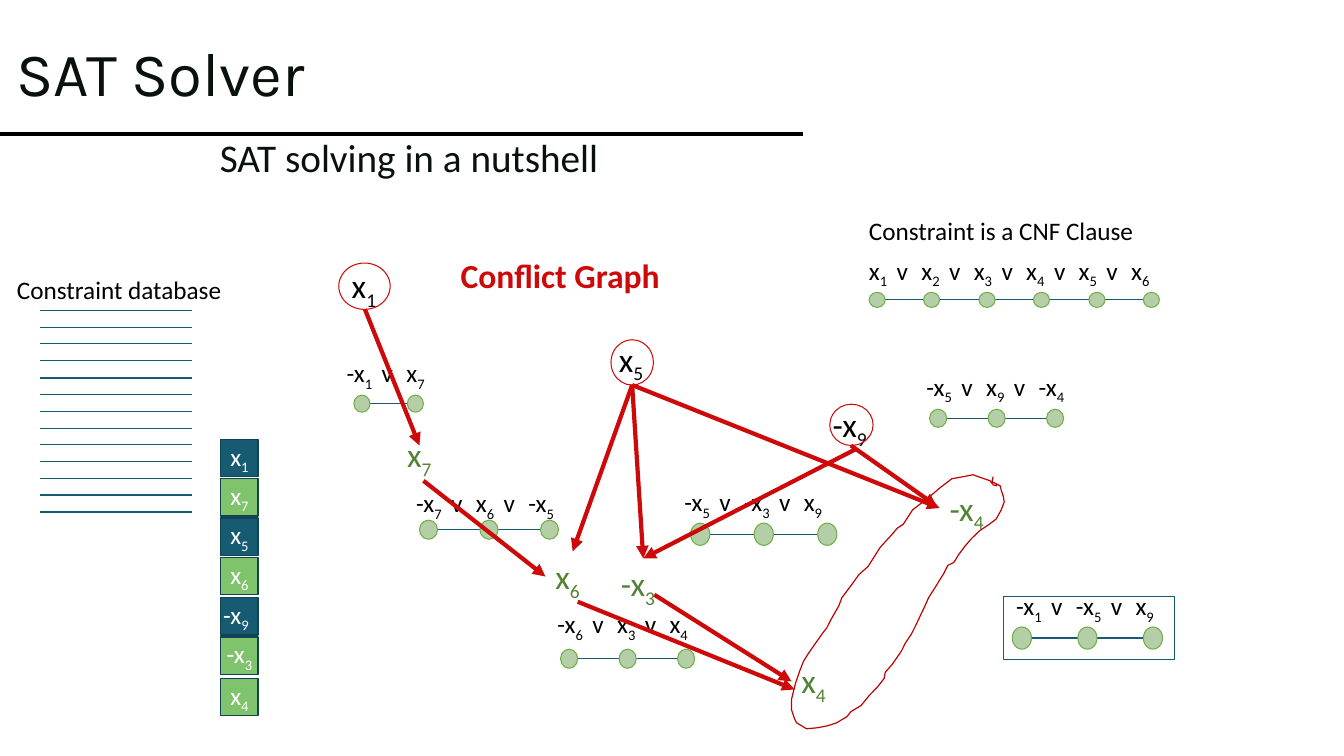
from lxml.etree import SubElement
from pptx import Presentation
from pptx.dml.color import RGBColor
from pptx.enum.shapes import MSO_CONNECTOR, MSO_SHAPE
from pptx.enum.text import MSO_ANCHOR, MSO_AUTO_SIZE, PP_ALIGN
from pptx.oxml.ns import qn
from pptx.util import Pt

PX = 9144  # 100 px to the inch
TEAL, RED, GREEN, BLACK, INK = "175B73", "CD0909", "548235", "000000", "08110B"
color = RGBColor.from_string


def add_line(shapes, start, end, line_color, width, arrow=False):
    ends = [value * PX for value in (*start, *end)]
    connector = shapes.add_connector(MSO_CONNECTOR.STRAIGHT, *ends)
    connector.line.color.rgb = color(line_color)
    connector.line.width = Pt(width)
    properties = connector._element.spPr
    if arrow:
        SubElement(properties.find(qn("a:ln")), qn("a:tailEnd"), type="triangle")
    SubElement(properties, qn("a:effectLst"))


def write_terms(shape, terms, size, text_color):
    """Write terms joined by v, with a final digit as subscript."""
    frame = shape.text_frame
    frame.word_wrap = False
    frame.auto_size = MSO_AUTO_SIZE.SHAPE_TO_FIT_TEXT
    paragraph = frame.paragraphs[0]
    for index, term in enumerate(terms):
        if index:
            separator = paragraph.add_run()
            separator.text = " v "
            separator._r.get_or_add_rPr().set("spc", "270")
        name = term.rstrip("0123456789")
        paragraph.add_run().text = name
        if name != term:
            subscript = paragraph.add_run()
            subscript.text = term[len(name):]
            subscript._r.get_or_add_rPr().set("baseline", "-25000")
    paragraph.font.name = "Calibri"
    paragraph.font.size = Pt(size)
    paragraph.font.color.rgb = color(text_color)
    return paragraph


presentation = Presentation()
presentation.slide_width = 1333 * PX
presentation.slide_height = 750 * PX
slide = presentation.slides.add_slide(presentation.slide_layouts[1])
shapes = slide.shapes

# Title and subtitle
add_line(shapes, (0, 133), (796, 133), BLACK, 2.25)
title, body = slide.placeholders
for placeholder, box, text, font_name, size, anchor in (
    (title, (6, 3, 751, 145), "SAT Solver", "Karla", 44, MSO_ANCHOR.MIDDLE),
    (body, (183, 133, 900, 83), "SAT solving in a nutshell", "Calibri", 28, MSO_ANCHOR.TOP),
):
    placeholder.left, placeholder.top, placeholder.width, placeholder.height = [v * PX for v in box]
    frame = placeholder.text_frame
    frame.text = text
    frame.auto_size = MSO_AUTO_SIZE.NONE
    frame.vertical_anchor = anchor
    paragraph = frame.paragraphs[0]
    paragraph.alignment = PP_ALIGN.LEFT
    paragraph.line_spacing = 0.9
    paragraph.space_before = Pt(0)
    if placeholder is body:
        properties = paragraph._p.get_or_add_pPr()
        properties.set("marL", str(25 * PX))
        properties.set("indent", str(-25 * PX))
        SubElement(SubElement(properties, qn("a:buClr")), qn("a:srgbClr"), val="FFFFFF")
        SubElement(properties, qn("a:buSzPct"), val="25000")
        SubElement(properties, qn("a:buChar"), char="•")
    paragraph.font.name = font_name
    paragraph.font.size = Pt(size)
    paragraph.font.color.rgb = color(INK)

# Constraint database lines
database = shapes.add_group_shape().shapes
for row in range(13):
    y = 308 + round(row * 50 / 3)
    add_line(database, (40, y), (190, y), TEAL, 0.85)

# Captions and graph nodes
for box, text, size, text_color in (
    ((7, 267, 225, 40), "Constraint database", 18, BLACK),
    ((852, 209, 285, 40), "Constraint is a CNF Clause", 18, BLACK),
    ((447, 248, 220, 50), "Conflict Graph", 24, RED),
    ((339, 258, 54, 50), "x1", 24, BLACK),
    ((816, 396, 64, 50), "-x9", 24, BLACK),
    ((394, 426, 54, 50), "x7", 24, GREEN),
    ((604, 331, 54, 50), "x5", 24, BLACK),
    ((785, 650, 54, 50), "x4", 24, GREEN),
    ((541, 547, 54, 50), "x6", 24, GREEN),
    ((606, 554, 64, 50), "-x3", 24, GREEN),
    ((932, 479, 64, 50), "-x4", 24, GREEN),
):
    label = shapes.add_textbox(*[v * PX for v in box])
    paragraph = write_terms(label, [text], size, text_color)
    paragraph.font.bold = text_color == RED

# Clauses: text box, first dot, left of the last dot, terms
for box, (left, top, width, height), last, clause in (
    ((852, 248, 307, 42), (862, 290, 16, 15), 1134, "x1 x2 x3 x4 x5 x6"),
    ((334, 350, 118, 40), (351, 392, 16, 17), 404, "-x1 x7"),
    ((403, 479, 163, 40), (416, 516, 18, 19), 536, "-x7 x6 -x5"),
    ((669, 478, 183, 42), (685, 519, 19, 22), 811, "-x5 -x3 x9"),
    ((543, 599, 155, 40), (556, 644, 17, 19), 672, "-x6 x3 x4"),
    ((909, 363, 185, 48), (922, 406, 17, 18), 1038, "-x5 x9 -x4"),
    ((998, 581, 171, 40), (1004, 622, 19, 22), 1134, "-x1 -x5 x9"),
):
    terms = clause.split()
    group = shapes.add_group_shape().shapes
    middle = top + height // 2
    add_line(group, (left, middle), (last + width, middle), TEAL, 0.85)
    for index in range(len(terms)):
        x = left + round(index * (last - left) / (len(terms) - 1))
        dot = group.add_shape(MSO_SHAPE.OVAL, x * PX, top * PX, width * PX, height * PX)
        dot.shadow.inherit = False
        dot.fill.solid()
        dot.fill.fore_color.rgb = color("B4CFA8")
        dot.line.color.rgb = color("70AD47")
        dot.line.width = Pt(0.75)
    write_terms(group.add_textbox(*[v * PX for v in box]), terms, 18, BLACK)

# Decision rings and the frame of the learned clause
for kind, box, line_color in (
    (MSO_SHAPE.OVAL, (336, 261, 51, 46), RED),
    (MSO_SHAPE.OVAL, (606, 337, 42, 45), RED),
    (MSO_SHAPE.OVAL, (823, 401, 43, 41), RED),
    (MSO_SHAPE.RECTANGLE, (995, 592, 170, 62), TEAL),
):
    outline = shapes.add_shape(kind, *[v * PX for v in box])
    outline.shadow.inherit = False
    outline.fill.background()
    outline.line.color.rgb = color(line_color)
    outline.line.width = Pt(0.75)

# Hand-drawn loop around the conflict
loop_points = (
    (989, 482), (985, 481), (982, 477), (965, 471), (955, 473), (944, 475), (931, 485),
    (923, 492), (905, 506), (896, 520), (890, 524), (884, 531), (873, 543), (866, 554),
    (861, 562), (852, 570), (844, 581), (835, 593), (832, 601), (824, 615), (820, 623),
    (816, 628), (809, 638), (802, 648), (797, 656), (793, 666), (789, 678), (786, 690),
    (785, 694), (785, 704), (788, 713), (790, 717), (800, 723), (811, 722), (821, 720),
    (830, 717), (840, 711), (844, 706), (854, 700), (863, 689), (870, 682), (877, 673),
    (878, 667), (885, 659), (894, 646), (898, 638), (904, 629), (908, 621), (917, 602),
    (921, 593), (928, 582), (936, 569), (940, 561), (946, 558), (951, 550), (957, 542),
    (963, 535), (971, 527), (980, 521), (988, 515), (993, 506), (996, 498), (995, 492),
    (993, 486), (992, 482), (984, 478), (985, 473),
)
builder = shapes.build_freeform(*loop_points[0], scale=PX)
builder.add_line_segments(loop_points[1:], close=False)
conflict_loop = builder.convert_to_shape()
conflict_loop.shadow.inherit = False
conflict_loop.fill.background()
conflict_loop.line.color.rgb = color("C00000")
conflict_loop.line.width = Pt(0.85)

# Assignment trail: decisions in teal, implied literals in green
for top, literal, fill in (
    (436, "x1", TEAL), (475, "x7", "7FC46C"), (514, "x5", TEAL), (553, "x6", "7FC46C"),
    (593, "-x9", TEAL), (632, "-x3", "7FC46C"), (673, "x4", "7FC46C"),
):
    tile = shapes.add_shape(MSO_SHAPE.RECTANGLE, 219 * PX, top * PX, 37 * PX, 37 * PX)
    tile.shadow.inherit = False
    tile.fill.solid()
    tile.fill.fore_color.rgb = color(fill)
    tile.line.color.rgb = color("114355")
    tile.line.width = Pt(0.85)
    write_terms(tile, [literal], 18, "FFFFFF").alignment = PP_ALIGN.CENTER
    frame = tile.text_frame
    frame.auto_size = MSO_AUTO_SIZE.NONE
    frame.vertical_anchor = MSO_ANCHOR.MIDDLE
    frame.margin_left = 0
    frame.margin_right = 7 * PX if literal == "-x9" else 0

# Implication arrows
for start, end in (
    ((362, 307), (416, 442)), ((627, 382), (568, 547)), ((420, 477), (541, 572)),
    ((848, 446), (638, 554)), ((627, 382), (638, 554)), ((627, 382), (932, 504)),
    ((844, 442), (929, 502)), ((573, 597), (788, 684)), ((649, 590), (785, 676)),
):
    add_line(shapes, start, end, RED, 3, arrow=True)

presentation.save("out.pptx")
